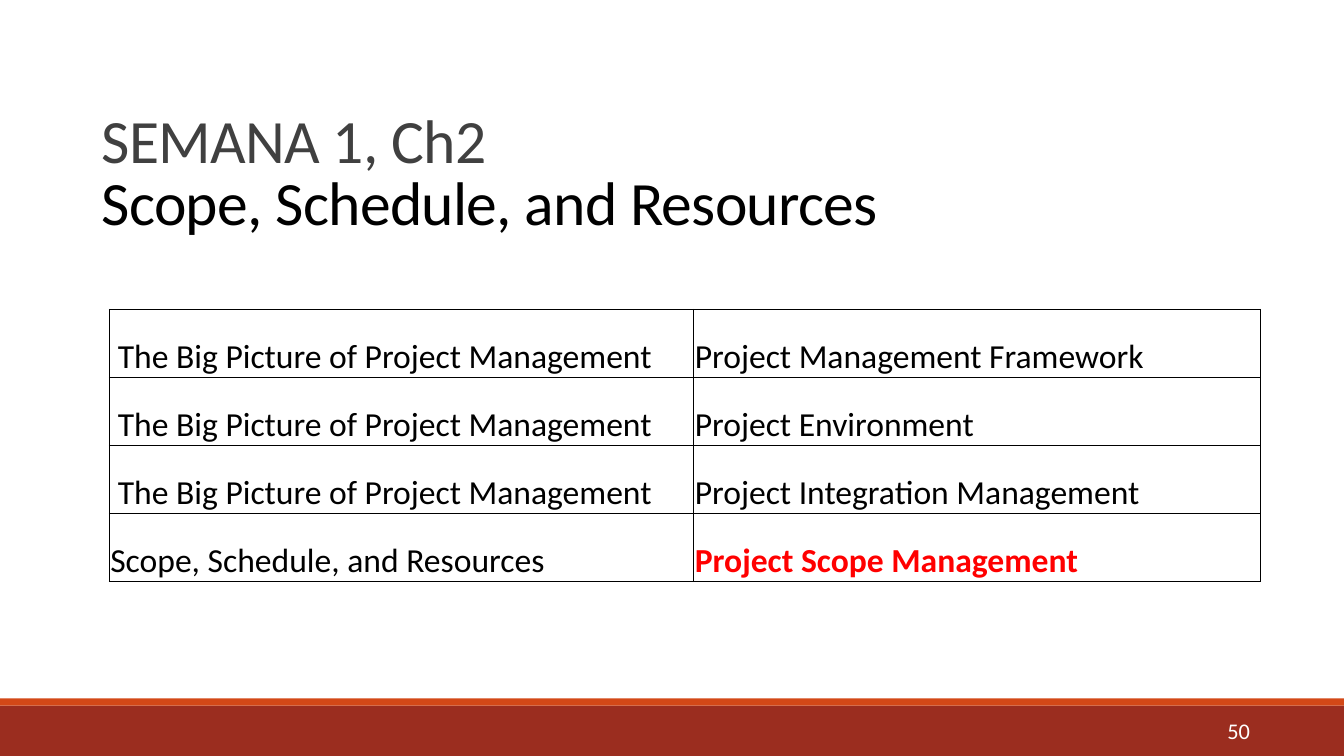
import pptx
import pptx.util
import pptx.dml.color
import pptx.enum.shapes
import pptx.enum.text
import pptx.oxml
import pptx.oxml.ns

Cm = pptx.util.Cm
Pt = pptx.util.Pt
Align = pptx.enum.text.PP_ALIGN
Anchor = pptx.enum.text.MSO_ANCHOR

FONT = "Calibri"
COLORS = {
    "band": "9B2D1F",
    "strip": "D34817",
    "white": "FFFFFF",
    "gray": "404040",
    "black": "000000",
    "red": "FF0000",
}
PART = "The Big Picture of Project Management"
SCOPE = "Scope, Schedule, and Resources"
ROWS = [
    (PART, "Project Management Framework"),
    (PART, "Project Environment"),
    (PART, "Project Integration Management"),
    (SCOPE, "Project Scope Management"),
]


def color(name):
    return pptx.dml.color.RGBColor.from_string(COLORS[name])


def style(par, size, name, bold=False):
    for run in par.runs:
        run.font.name = FONT
        run.font.size = Pt(size)
        run.font.bold = bold
        run.font.color.rgb = color(name)


def add_bar(slide, top, width, height, name):
    bar = slide.shapes.add_shape(
        pptx.enum.shapes.MSO_SHAPE.RECTANGLE, 0, top, width, height)
    bar.shadow.inherit = False
    bar.fill.solid()
    bar.fill.fore_color.rgb = color(name)
    bar.line.fill.background()


def add_number(slide, text):
    box = slide.shapes.add_textbox(Cm(2.13), Cm(17.96), Cm(29.62), Cm(0.9))
    frame = box.text_frame
    frame.word_wrap = True
    frame.vertical_anchor = Anchor.MIDDLE
    frame.text = text
    par = frame.paragraphs[0]
    par.alignment = Align.RIGHT
    style(par, 16, "white")


def set_title(slide, lines):
    """Fill the title from (text, line spacing, color) lines."""
    title = slide.shapes.title
    title.left, title.top = Cm(2.31), Cm(1.5)
    title.width, title.height = Cm(28.68), Cm(5.16)
    frame = title.text_frame
    frame.word_wrap = True
    frame.auto_size = pptx.enum.text.MSO_AUTO_SIZE.NONE
    frame.vertical_anchor = Anchor.TOP
    frame.text = "\n".join(text for text, _, _ in lines)
    for par, (_, space, name) in zip(frame.paragraphs, lines):
        par.alignment = Align.LEFT
        par.line_spacing = space
        par.space_before = Pt(0)
        style(par, 44, name)
        for run in par.runs:
            run.font._element.set("spc", "-50")


def add_border(cell):
    props = cell._tc.get_or_add_tcPr()
    for side in "LRTB":
        props.append(pptx.oxml.parse_xml(
            f'<a:ln{side} {pptx.oxml.ns.nsdecls("a")} w="6350"><a:solidFill>'
            f'<a:srgbClr val="{COLORS["black"]}"/></a:solidFill></a:ln{side}>'))


def fill_cell(cell, text, name, bold, indent):
    add_border(cell)
    cell.fill.solid()
    cell.fill.fore_color.rgb = color("white")
    cell.margin_left = indent
    cell.margin_right = cell.margin_top = Cm(0.03)
    cell.margin_bottom = 0
    cell.vertical_anchor = Anchor.BOTTOM
    cell.text = text
    style(cell.text_frame.paragraphs[0], 24, name, bold)


def add_topics(slide, rows):
    """Add the topic table, with its last topic marked in red."""
    height = Cm(1.714)
    table = slide.shapes.add_table(
        len(rows), 2, Cm(2.75), Cm(7.79), Cm(29), height * len(rows)).table
    table.first_row = table.horz_banding = False
    table.columns[0].width = Cm(14.73)
    table.columns[1].width = Cm(14.27)
    for i, (part, topic) in enumerate(rows):
        table.rows[i].height = height
        indent = Cm(0.22) if part == PART else Cm(0.03)
        last = i == len(rows) - 1
        fill_cell(table.cell(i, 0), part, "black", False, indent)
        fill_cell(table.cell(i, 1), topic, "red" if last else "black",
                  last, Cm(0.03))


def main():
    deck = pptx.Presentation()
    deck.slide_width, deck.slide_height = Cm(33.87), Cm(19.05)
    slide = deck.slides.add_slide(deck.slide_layouts[5])
    add_bar(slide, Cm(17.78), deck.slide_width, Cm(1.27), "band")
    add_bar(slide, Cm(17.6), deck.slide_width, Cm(0.18), "strip")
    add_number(slide, "50")
    set_title(slide, [("SEMANA 1, Ch2", 1.5, "gray"), (SCOPE, 0.85, "black")])
    add_topics(slide, ROWS)
    deck.save("out.pptx")


if __name__ == "__main__":
    main()
